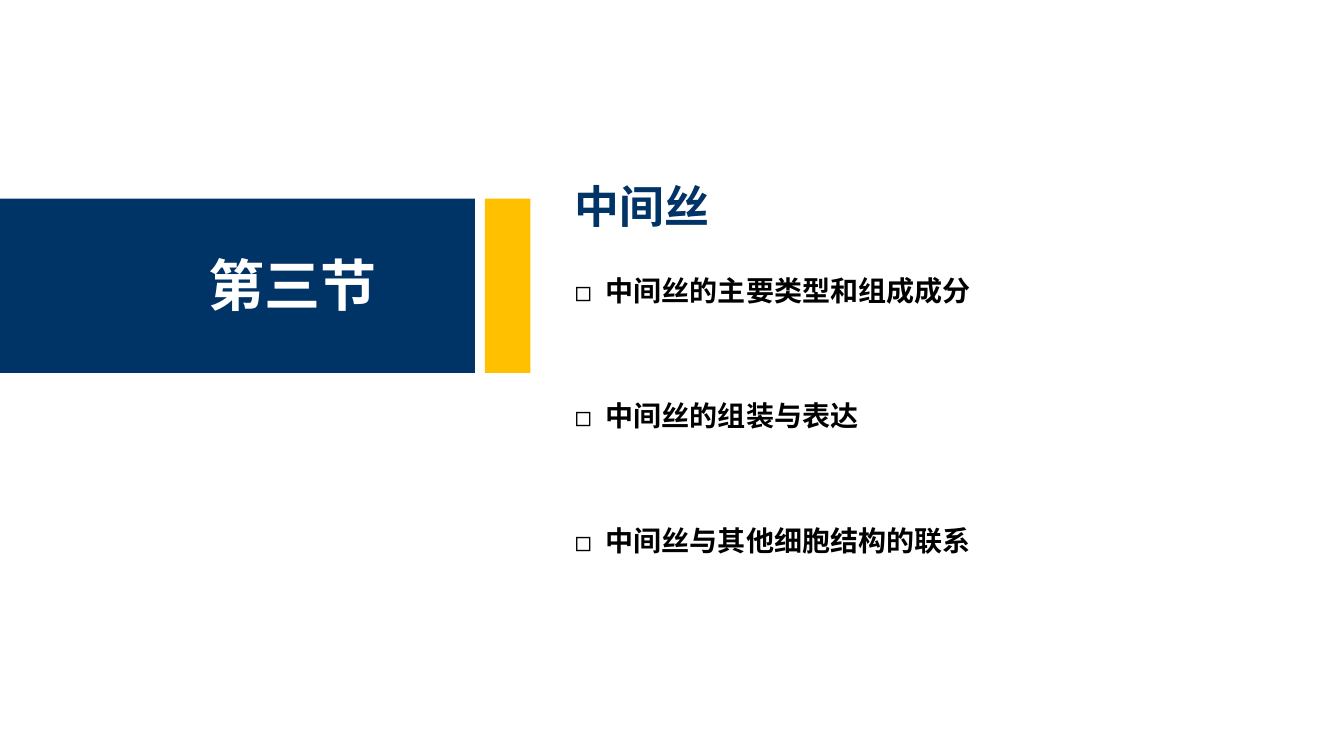
"""Build the section slide on intermediate filaments."""
from dataclasses import dataclass

from lxml.etree import SubElement
from pptx import Presentation
from pptx.dml.color import RGBColor
from pptx.enum.shapes import MSO_SHAPE
from pptx.enum.text import MSO_ANCHOR
from pptx.oxml.ns import qn
from pptx.slide import Slide
from pptx.util import Inches, Pt

FONT = "Noto Sans CJK SC"
COLORS = {"navy": "003366", "gold": "FFC000", "white": "FFFFFF", "black": "000000"}
TOPICS = ["中间丝的主要类型和组成成分", "中间丝的组装与表达", "中间丝与其他细胞结构的联系"]
TOPIC_LEFT, TOPIC_TOP, TOPIC_STEP, BULLET_INDENT = 5.6, 2.66, 1.24, 0.31


@dataclass(frozen=True)
class Box:
    left: float
    top: float
    width: float
    height: float

    def lengths(self) -> list[int]:
        return [Inches(value) for value in (self.left, self.top, self.width, self.height)]


@dataclass(frozen=True)
class Band:
    box: Box
    color: str


BANDS = [
    Band(Box(0, 1.97, 4.71, 1.73), "navy"),
    Band(Box(4.81, 1.97, 0.45, 1.73), "gold"),
]


def add_band(slide: Slide, band: Band) -> None:
    shape = slide.shapes.add_shape(MSO_SHAPE.RECTANGLE, *band.box.lengths())
    shape.shadow.inherit = False
    shape.fill.solid()
    shape.fill.fore_color.rgb = RGBColor.from_string(COLORS[band.color])
    shape.line.fill.background()


def add_text(slide: Slide, text: str, box: Box, *, size: float, color: str,
             wrap: bool = False, bullet: str = "") -> None:
    frame = slide.shapes.add_textbox(*box.lengths()).text_frame
    frame.word_wrap = wrap
    frame.vertical_anchor = MSO_ANCHOR.MIDDLE
    paragraph = frame.paragraphs[0]
    if bullet:
        properties = paragraph._p.get_or_add_pPr()
        properties.set("marL", str(Inches(BULLET_INDENT)))
        properties.set("indent", str(-Inches(BULLET_INDENT)))
        SubElement(properties, qn("a:buFont"), typeface=FONT)
        SubElement(properties, qn("a:buChar"), char=bullet)
    run = paragraph.add_run()
    run.text = text
    run.font.size = Pt(size)
    run.font.bold = True
    run.font.color.rgb = RGBColor.from_string(COLORS[color])
    run.font.name = FONT
    SubElement(run._r.get_or_add_rPr(), qn("a:ea"), typeface=FONT)


def main() -> None:
    presentation = Presentation()
    presentation.slide_width = Inches(13.33)
    presentation.slide_height = Inches(7.5)
    slide = presentation.slides.add_slide(presentation.slide_layouts[6])
    for band in BANDS:
        add_band(slide, band)
    add_text(slide, "第三节", Box(1.97, 2.43, 1.88, 0.77), size=40, color="white")
    add_text(slide, "中间丝", Box(TOPIC_LEFT, 1.72, 5.6, 0.64), size=32, color="navy", wrap=True)
    for index, topic in enumerate(TOPICS):
        width = 0.55 + len(topic) * 20 / 72
        box = Box(TOPIC_LEFT, TOPIC_TOP + index * TOPIC_STEP, width, 0.44)
        add_text(slide, topic, box, size=20, color="black", bullet="◻")
    presentation.save("out.pptx")


if __name__ == "__main__":
    main()
